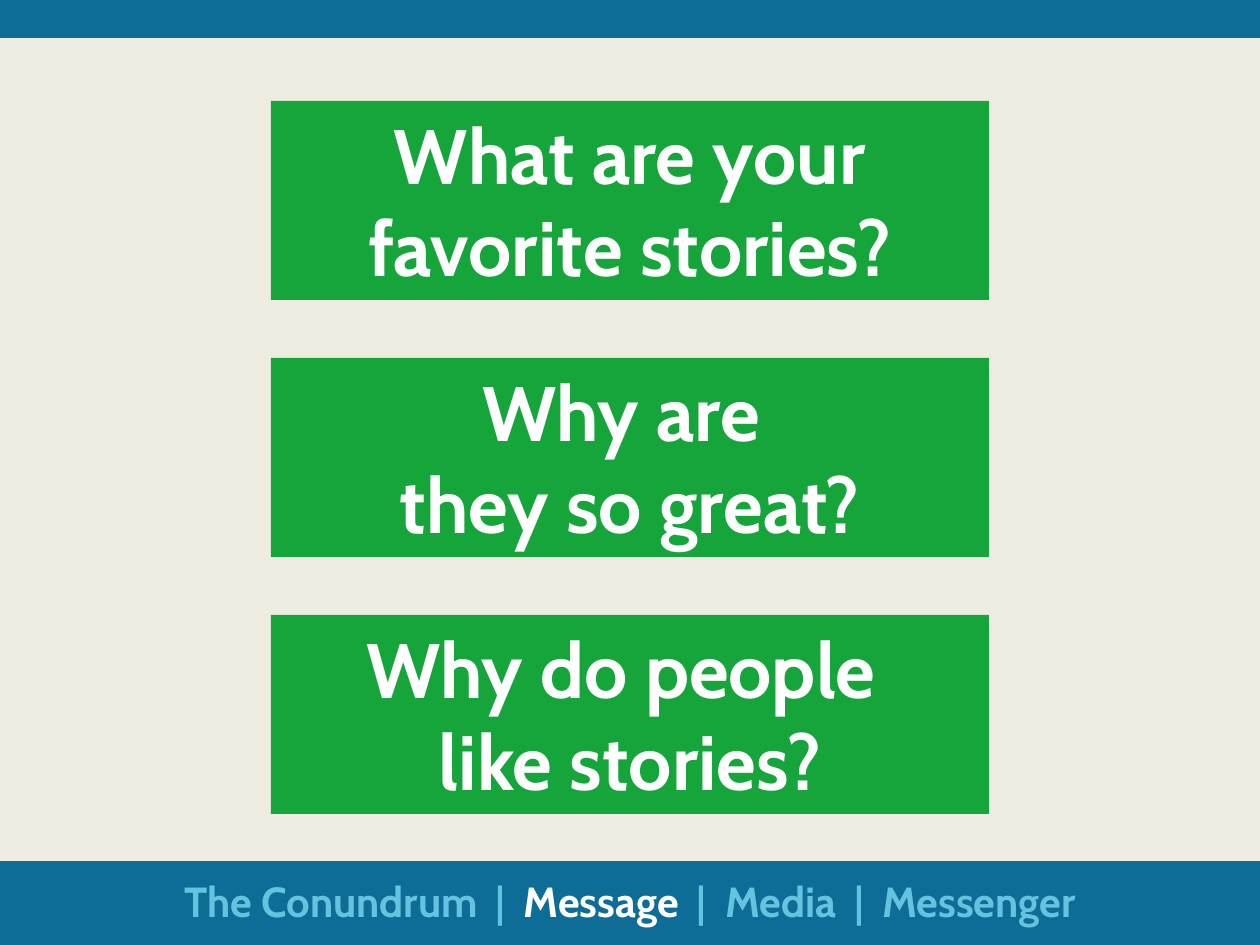
"""Build the slide of three story questions with a section tracker."""
import pptx
import pptx.dml.color
import pptx.enum.shapes
import pptx.enum.text
import pptx.util

THEME = {
    "font": "Cabin",
    "background": "EEECE1",
    "band": "0D6D97",
    "question": "15A53B",
    "bright": "FFFFFF",
    "muted": "65C3DF",
    "question_size": 44,
    "tracker_size": 24,
    "separator_spacing": 5,
}


def px(length):
    return pptx.util.Emu(round(length * 914400 / 126))


def color(name):
    return pptx.dml.color.RGBColor.from_string(THEME[name])


deck = pptx.Presentation()
deck.slide_width, deck.slide_height = px(1260), px(945)
page = deck.slides.add_slide(deck.slide_layouts[6])
page.background.fill.solid()
page.background.fill.fore_color.rgb = color("background")

rectangles = [
    (0, 861, 1260, 84, "band", ""),
    (0, 0, 1260, 38, "band", ""),
]
questions = [
    "What are your favorite stories?",
    "Why are \vthey so great?",
    "Why do people \vlike stories?",
]
for index, question in enumerate(questions):
    rectangles.append((271, 101 + 257 * index, 718, 199, "question", question))

for left, top, width, height, fill, text in rectangles:
    box = page.shapes.add_shape(
        pptx.enum.shapes.MSO_SHAPE.RECTANGLE, px(left), px(top), px(width), px(height)
    )
    box.shadow.inherit = False
    box.fill.solid()
    box.fill.fore_color.rgb = color(fill)
    box.line.fill.background()
    if text:
        box.text_frame.word_wrap = True
        box.text_frame.vertical_anchor = pptx.enum.text.MSO_ANCHOR.TOP
        para = box.text_frame.paragraphs[0]
        para.text = text
        para.alignment = pptx.enum.text.PP_ALIGN.CENTER
        para.font.name = THEME["font"]
        para.font.size = pptx.util.Pt(THEME["question_size"])
        para.font.bold = True
        para.font.color.rgb = color("bright")

tracker = page.shapes.add_textbox(px(63), px(869), px(1134), px(63))
tracker.text_frame.word_wrap = True
para = tracker.text_frame.paragraphs[0]
para.alignment = pptx.enum.text.PP_ALIGN.CENTER
para.font.name = THEME["font"]
para.font.size = pptx.util.Pt(THEME["tracker_size"])
para.font.bold = True

current = "Message"
for index, section in enumerate(["The Conundrum", "Message", "Media", "Messenger"]):
    if index:
        separator = para.add_run()
        separator.text = " |"
        separator.font.color.rgb = color("muted")
        separator.font._element.set("spc", str(THEME["separator_spacing"] * 100))
    span = para.add_run()
    span.text = f" {section}" if index else section
    span.font.color.rgb = color("bright" if section == current else "muted")

deck.save("out.pptx")
